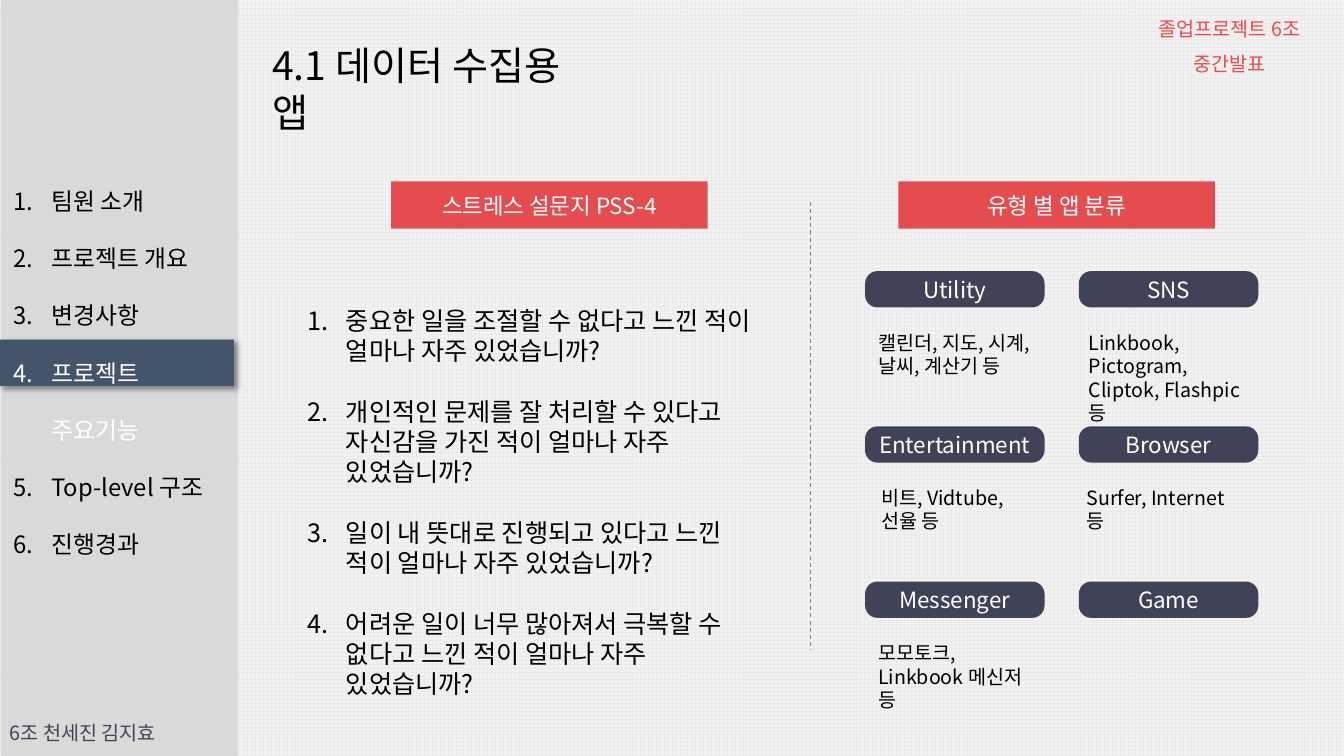
from lxml import etree
from pptx import Presentation
from pptx.dml.color import RGBColor
from pptx.enum.dml import MSO_LINE, MSO_PATTERN
from pptx.enum.shapes import MSO_CONNECTOR, MSO_SHAPE
from pptx.enum.text import MSO_ANCHOR, MSO_AUTO_SIZE, PP_ALIGN
from pptx.oxml import parse_xml
from pptx.oxml.ns import nsdecls, qn
from pptx.util import Inches, Pt

RECT, ROUNDED = MSO_SHAPE.RECTANGLE, MSO_SHAPE.ROUNDED_RECTANGLE
LEFT, CENTER = PP_ALIGN.LEFT, PP_ALIGN.CENTER
TOP, MIDDLE = MSO_ANCHOR.TOP, MSO_ANCHOR.MIDDLE
FIXED = MSO_AUTO_SIZE.NONE

FONT = "Noto Sans CJK KR"
COLORS = {
    "grid": "EAEAEA", "paper": "F2F2F2", "sidebar": "D9D9D9",
    "current": "44546A", "navy": "404257", "red": "E54C4F",
    "divider": "808080", "black": "000000", "white": "FFFFFF",
}
LIST_INDENT = 0.38

NAV_ITEMS = ["팀원 소개", "프로젝트 개요", "변경사항", "프로젝트 주요기능",
             "Top-level 구조", "진행경과"]
CURRENT_ITEM = "프로젝트 주요기능"
QUESTIONS = [
    "중요한 일을 조절할 수 없다고 느낀 적이 얼마나 자주 있었습니까?",
    "개인적인 문제를 잘 처리할 수 있다고 자신감을 가진 적이 얼마나 자주 있었습니까?",
    "일이 내 뜻대로 진행되고 있다고 느낀 적이 얼마나 자주 있었습니까?",
    "어려운 일이 너무 많아져서 극복할 수 없다고 느낀 적이 얼마나 자주 있었습니까?",
]
# Category, examples, left offset and width of the examples
CATEGORIES = [
    [("Utility", "캘린더, 지도, 시계, 날씨, 계산기 등", 0.03, 1.78),
     ("SNS", "Linkbook, Pictogram, Cliptok, Flashpic 등", 0, 1.78)],
    [("Entertainment", "비트, Vidtube, 선율 등", 0.06, 1.58),
     ("Browser", "Surfer, Internet 등", -0.02, 1.78)],
    [("Messenger", "모모토크, Linkbook 메신저 등", 0.03, 1.75),
     ("Game", None, 0, 1.78)],
]


def rgb(name):
    return RGBColor.from_string(COLORS[name])


def apply(target, values):
    for key, value in values.items():
        setattr(target, key, value)


def place(shape, box):
    apply(shape, dict(zip(("left", "top", "width", "height"), map(Inches, box))))


def write(shape, lines, size, color, align=LEFT, anchor=TOP, spacing=1.0, after=0):
    """Fill a shape with one formatted paragraph per line."""
    frame = shape.text_frame
    apply(frame, {"word_wrap": True, "auto_size": FIXED, "vertical_anchor": anchor})
    frame.text = "\n".join(lines)
    for paragraph in frame.paragraphs:
        apply(paragraph, {"alignment": align, "line_spacing": spacing,
                          "space_before": Pt(0), "space_after": Pt(after)})
        for run in paragraph.runs:
            apply(run.font, {"size": Pt(size), "name": FONT, "bold": False})
            run.font.color.rgb = rgb(color)
            east_asian = etree.SubElement(run.font._element, qn("a:ea"))
            east_asian.set("typeface", FONT)


def number(shape):
    """Number the paragraphs with a hanging indent."""
    for paragraph in shape.text_frame.paragraphs:
        props = paragraph._p.get_or_add_pPr()
        props.set("marL", str(Inches(LIST_INDENT)))
        props.set("indent", str(-Inches(LIST_INDENT)))
        bullet = etree.SubElement(props, qn("a:buAutoNum"))
        bullet.set("type", "arabicPeriod")


def add_text(slide, box, text, size, color, **layout):
    label = slide.shapes.add_textbox(*map(Inches, box))
    write(label, [text], size, color, **layout)


def add_block(slide, box, fill, kind=RECT):
    block = slide.shapes.add_shape(kind, *map(Inches, box))
    block.shadow.inherit = False
    block.fill.solid()
    block.fill.fore_color.rgb = rgb(fill)
    block.line.fill.background()
    return block


def add_sidebar(slide, box, nav):
    left, top, width, height = box
    add_block(slide, box, "sidebar")

    # Current section marker with its shadow
    marker = add_block(slide, (0, top + 3.37, 2.32, 0.46), "current")
    marker._element.spPr.remove(marker._element.spPr.find(qn("a:effectLst")))
    marker._element.spPr.append(parse_xml(
        f'<a:effectLst {nsdecls("a")}><a:outerShdw blurRad="{Pt(4)}" dist="{Pt(3)}" '
        f'dir="2700000" algn="tl" rotWithShape="0"><a:srgbClr val="{COLORS["black"]}">'
        '<a:alpha val="40000"/></a:srgbClr></a:outerShdw></a:effectLst>'))

    # Section list, in front of the sidebar
    place(nav, (left + 0.02, top + 1.52, 2.32, 3.46))
    write(nav, NAV_ITEMS, 17, "black", spacing=2.0)
    number(nav)
    current = nav.text_frame.paragraphs[NAV_ITEMS.index(CURRENT_ITEM)]
    current.runs[0].font.color.rgb = rgb("white")
    slide.shapes._spTree.append(nav._element)

    # Team
    add_text(slide, (0, top + height - 0.51, 1.95, 0.42), "6조 천세진 김지효",
             14, "navy", spacing=1.5)


def add_header(slide, box, title):
    left, top, width, height = box
    place(title, (left, top + 0.36, 3.49, 0.57))
    write(title, ["4.1 데이터 수집용 앱"], 28, "black")
    add_text(slide, (left + width - 2.31, top, 2.31, 0.42),
             "졸업프로젝트 6조 중간발표", 14, "red", align=CENTER, spacing=1.5)


def add_heading(slide, left, top, text):
    heading = add_block(slide, (left, top, 3.14, 0.47), "red")
    write(heading, [text], 16, "white", align=CENTER, anchor=MIDDLE)


def add_survey(slide, box, questions):
    left, top, width, height = box
    add_heading(slide, left + 0.93, top, "스트레스 설문지 PSS-4")
    place(questions, (left, top + 1.18, width, height - 1.18))
    write(questions, QUESTIONS, 18, "black", after=21.6)
    number(questions)


def add_divider(slide, x, top, bottom):
    divider = slide.shapes.add_connector(
        MSO_CONNECTOR.STRAIGHT, *map(Inches, (x, top, x, bottom)))
    divider.line.color.rgb = rgb("divider")
    apply(divider.line, {"width": Pt(0.75), "dash_style": MSO_LINE.DASH})
    etree.SubElement(divider._element.spPr, qn("a:effectLst"))


def add_categories(slide, box):
    left, top, width, height = box
    add_heading(slide, left + 0.33, top, "유형 별 앱 분류")
    for row, pair in enumerate(CATEGORIES):
        for column, (category, examples, shift, text_width) in enumerate(pair):
            x, y = left + column * 2.12, top + 0.89 + row * 1.54
            tag = add_block(slide, (x, y, 1.78, 0.36), "navy", ROUNDED)
            tag.adjustments[0] = 0.34
            apply(tag.text_frame, {"margin_left": 0, "margin_right": 0})
            write(tag, [category], 16, "white", align=CENTER, anchor=MIDDLE)
            if examples:
                add_text(slide, (x + shift, y + 0.54, text_width, 0.81),
                         examples, 14, "black")


def main():
    deck = Presentation()
    apply(deck, {"slide_width": Inches(13.33), "slide_height": Inches(7.5)})
    slide = deck.slides.add_slide(deck.slide_layouts[3])
    title, nav, questions = slide.placeholders

    # Grid paper background
    paper = slide.background.fill
    paper.patterned()
    paper.pattern = MSO_PATTERN.LARGE_GRID
    paper.fore_color.rgb = rgb("grid")
    paper.back_color.rgb = rgb("paper")

    add_sidebar(slide, (0.01, 0, 2.35, 7.5), nav)
    add_header(slide, (2.6, 0, 10.75, 1.3), title)
    add_survey(slide, (2.95, 1.8, 4.63, 4.92), questions)
    add_divider(slide, 8.04, 2, 6.45)
    add_categories(slide, (8.58, 1.8, 3.9, 5.3))
    deck.save("out.pptx")


if __name__ == "__main__":
    main()
